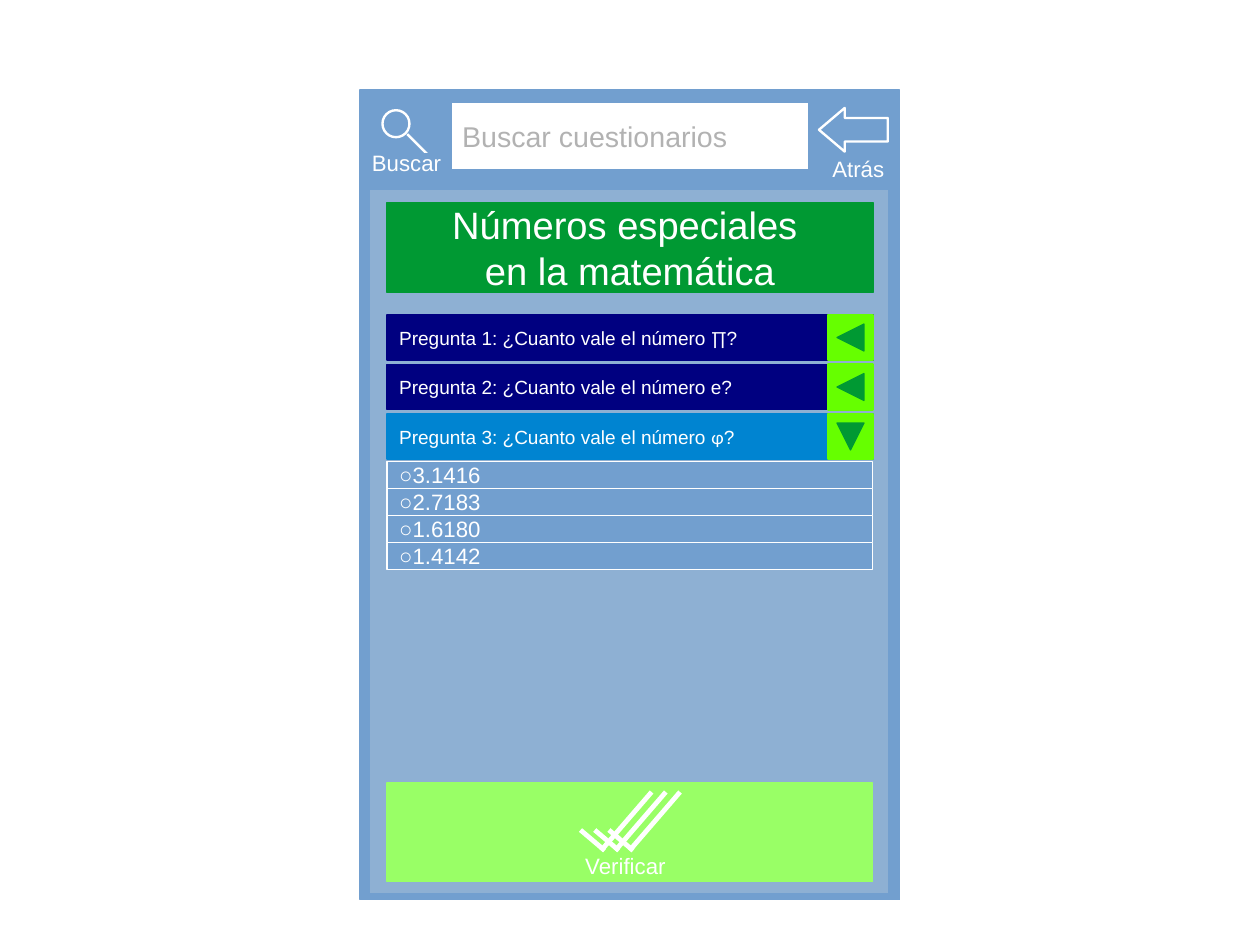
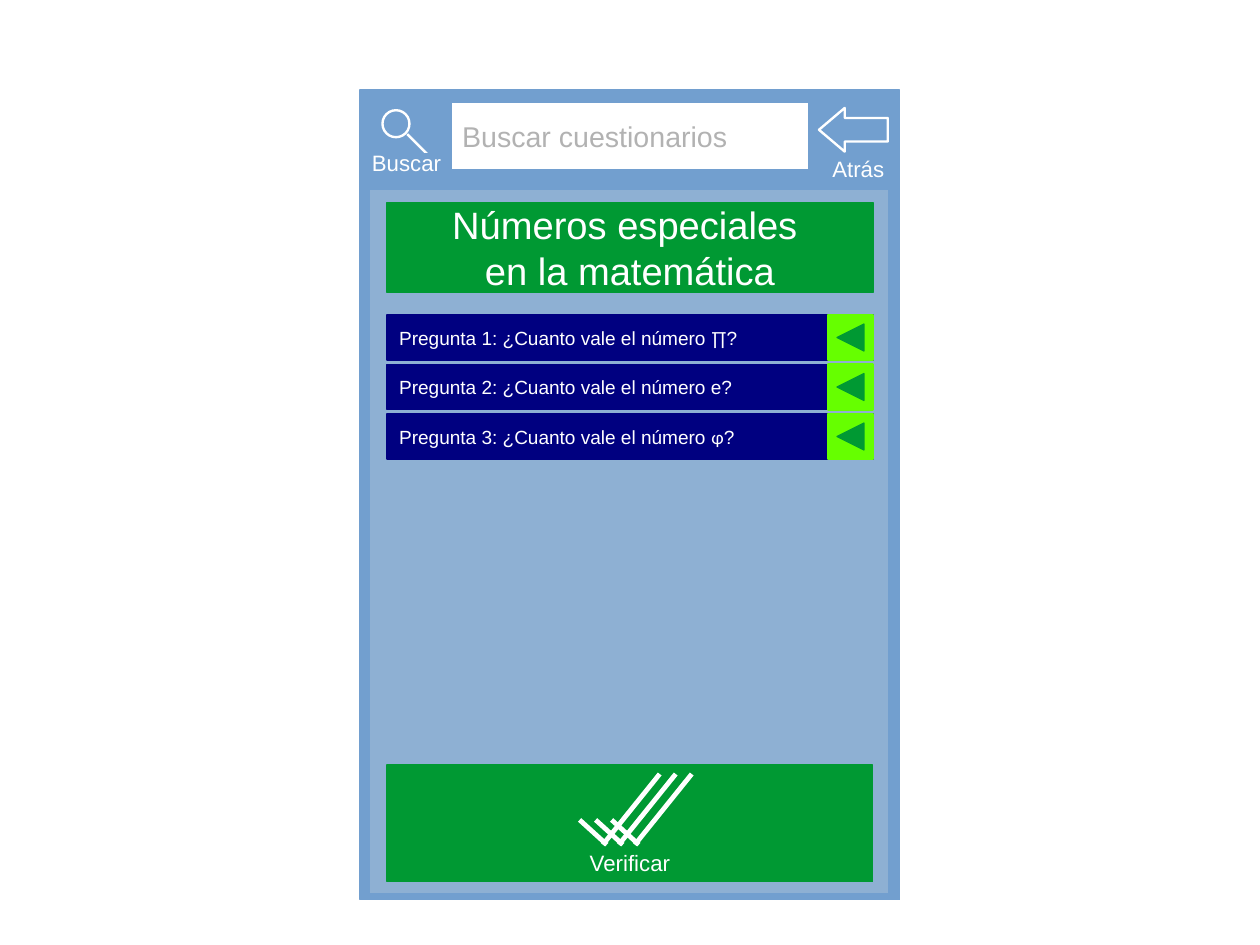
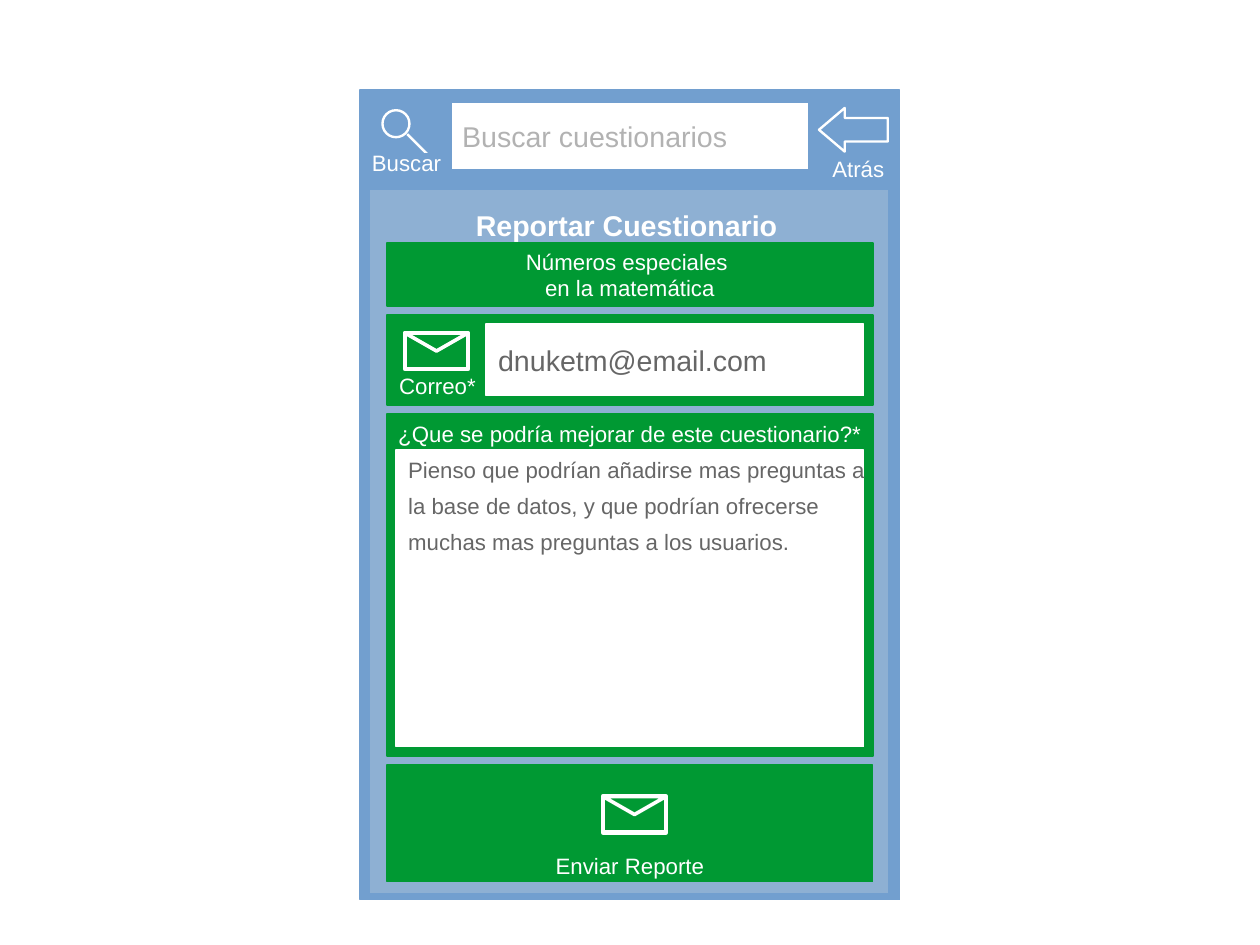
from dataclasses import dataclass

from lxml.etree import SubElement
from pptx import Presentation
from pptx.dml.color import RGBColor
from pptx.enum.shapes import MSO_CONNECTOR, MSO_SHAPE
from pptx.enum.text import MSO_ANCHOR, MSO_AUTO_SIZE, PP_ALIGN
from pptx.oxml.ns import qn
from pptx.util import Cm, Pt


@dataclass(frozen=True)
class Theme:
    frame: str = "729FCF"
    panel: str = "8EB0D3"
    green: str = "009933"
    pale_green: str = "99FF66"
    toggle: str = "66FF00"
    closed: str = "000080"
    opened: str = "0084D1"
    white: str = "FFFFFF"
    hint: str = "B2B2B2"
    entry: str = "666666"
    text_font: str = "Arial"
    symbol_font: str = "Calibri"
    heading: int = 24
    field: int = 18
    label: int = 14
    question: int = 12


THEME = Theme()

# The page is a grid of one-centimetre cells.
PAGE = (28, 21)
PHONE = (8, 2, 12, 18)
COLUMN_LEFT, COLUMN_WIDTH = 8.6, 10.8
LIST_TOP = 7
QUESTION_HEIGHT, QUESTION_PITCH = 1, 1.1
ANSWER_TOP, ANSWER_HEIGHT = 10.25, 0.6
BUTTON_BOTTOM = 19.6
INSET_X, INSET_Y = 0.27, 0.14

SUBJECT = "Números especiales \nen la matemática"
SYMBOLS = ("∏", "e", "φ")
ANSWERS = ("3.1416", "2.7183", "1.6180", "1.4142")
COMMENT = ("Pienso que podrían añadirse mas preguntas a\n"
           "la base de datos, y que podrían ofrecerse \n"
           "muchas mas preguntas a los usuarios.")


def rgb(color):
    return RGBColor.from_string(color)


def column(top, height):
    """Bounds of an element as wide as the content column."""
    return COLUMN_LEFT, top, COLUMN_WIDTH, height


def paint(shape, fill, line=None, width=0):
    shape.fill.solid()
    shape.fill.fore_color.rgb = rgb(fill)
    shape.line.color.rgb = rgb(line or fill)
    shape.line.width = Pt(width)


def add_block(slide, bounds, fill, line=None, width=0, preset=MSO_SHAPE.RECTANGLE):
    block = slide.shapes.add_shape(preset, *map(Cm, bounds))
    block.shadow.inherit = False
    paint(block, fill, line, width)
    return block


def format_text(frame, size, color, align, anchor=MSO_ANCHOR.MIDDLE, bold=False, gap=0):
    frame.word_wrap = False
    frame.auto_size = MSO_AUTO_SIZE.NONE
    frame.vertical_anchor = anchor
    frame.margin_left = frame.margin_right = Cm(INSET_X)
    frame.margin_top = frame.margin_bottom = Cm(INSET_Y)
    for index, paragraph in enumerate(frame.paragraphs):
        paragraph.alignment = align
        if gap and index:
            paragraph.space_before = Pt(gap)
        for run in paragraph.runs:
            run.font.name = THEME.text_font
            run.font.size = Pt(size)
            run.font.bold = bold
            run.font.color.rgb = rgb(color)


def add_text_block(slide, bounds, text, fill, line=None, width=0, size=THEME.label,
                   color=THEME.white, align=PP_ALIGN.CENTER, **style):
    block = add_block(slide, bounds, fill, line, width)
    block.text_frame.text = text
    format_text(block.text_frame, size, color, align, **style)


def add_stroke(slide, start, end, width):
    stroke = slide.shapes.add_connector(MSO_CONNECTOR.STRAIGHT, *map(Cm, start + end))
    stroke.line.color.rgb = rgb(THEME.white)
    stroke.line.width = Pt(width)
    SubElement(stroke._element.spPr, qn("a:effectLst"))


def set_title(slide, bounds, text, fill, size, width=0, bold=False):
    """Fill the title placeholder and bring it in front of the panel."""
    title = slide.shapes.title
    title.left, title.top, title.width, title.height = map(Cm, bounds)
    paint(title, fill, width=width)
    title.text_frame.text = text
    format_text(title.text_frame, size, THEME.white, PP_ALIGN.CENTER, bold=bold)
    slide.shapes._spTree.append(title._element)


def add_screen(prs):
    """New slide with the phone frame, the search bar and the back button."""
    slide = prs.slides.add_slide(prs.slide_layouts[5])
    add_block(slide, PHONE, THEME.frame)
    add_block(slide, (8.2, 4.2, 11.55, 15.65), THEME.panel, THEME.frame)
    add_block(slide, (8.5, 2.45, 0.6, 0.6), THEME.frame, THEME.white, 1.5, MSO_SHAPE.OVAL)
    add_stroke(slide, (9.05, 2.98), (9.5, 3.43), 1.5)
    add_text_block(slide, (8.2, 3.43, 1.67, 0.38), "Buscar", THEME.frame, width=1.5)
    add_text_block(slide, (18.2, 3.54, 1.75, 0.4), "Atrás", THEME.frame)
    arrow = add_block(slide, (18.2, 2.4, 1.53, 0.97), THEME.frame, THEME.white, 1.5,
                      MSO_SHAPE.LEFT_ARROW)
    arrow.adjustments[0], arrow.adjustments[1] = 0.54, 0.59
    add_text_block(slide, (10, 2.25, 8, 1.55), "Buscar cuestionarios", THEME.white,
                   THEME.frame, 2.3, THEME.field, THEME.hint, PP_ALIGN.LEFT)
    return slide


def add_question(slide, number, symbol, is_open):
    top = LIST_TOP + (number - 1) * QUESTION_PITCH
    bar = add_block(slide, column(top, QUESTION_HEIGHT),
                    THEME.opened if is_open else THEME.closed, width=1)
    sentence = bar.text_frame.paragraphs[0]
    sentence.text = f"Pregunta {number}: ¿Cuanto vale el número "
    for part in (symbol, "?"):
        sentence.add_run().text = part
    format_text(bar.text_frame, THEME.question, THEME.white, PP_ALIGN.LEFT)
    if not symbol.isascii():
        sentence.runs[1].font.name = THEME.symbol_font

    toggle_left = COLUMN_LEFT + COLUMN_WIDTH - QUESTION_HEIGHT
    add_block(slide, (toggle_left, top, QUESTION_HEIGHT, QUESTION_HEIGHT),
              THEME.toggle, width=1.5)
    pointer = add_block(slide, (toggle_left + 0.2, top + 0.2, 0.6, 0.6), THEME.green,
                        preset=MSO_SHAPE.ISOSCELES_TRIANGLE)
    pointer.rotation = 180 if is_open else 270


def add_answers(slide):
    for row, answer in enumerate(ANSWERS):
        add_text_block(slide, column(ANSWER_TOP + row * ANSWER_HEIGHT, ANSWER_HEIGHT),
                       f"○{answer}", THEME.frame, THEME.white, align=PP_ALIGN.LEFT)


def add_triple_tick(slide, left, top, width, height):
    """Three overlapping ticks; width and height are those of one tick."""
    for index in range(3):
        x = left + index * 0.2 * width
        bottom = top + height
        add_stroke(slide, (x, top + 0.65 * height), (x + 0.34 * width, bottom), 3)
        add_stroke(slide, (x + width, top), (x + 0.29 * width, bottom), 3)


def add_button(slide, top, fill, text, label):
    add_block(slide, column(top, BUTTON_BOTTOM - top), fill)
    add_text_block(slide, label, text, fill)


def add_envelope(slide, left, top):
    width, height = 1.4, 0.8
    add_block(slide, (left, top, width, height), THEME.green, THEME.white, 3)
    flap = add_block(slide, (left, top, width, height / 2), THEME.green, THEME.white, 2.3,
                     MSO_SHAPE.ISOSCELES_TRIANGLE)
    flap.rotation = 180


def add_quiz(prs, open_question=None):
    slide = add_screen(prs)
    set_title(slide, column(4.5, 2), SUBJECT, THEME.green, THEME.heading, width=1)
    for number, symbol in enumerate(SYMBOLS, start=1):
        add_question(slide, number, symbol, number == open_question)
    if open_question:
        add_answers(slide)
        add_button(slide, 17.4, THEME.pale_green, "Verificar", (12.4, 18.9, 3, 0.68))
        add_triple_tick(slide, 12.9, 17.6, 1.58, 1.3)
    else:
        add_button(slide, 17, THEME.green, "Verificar", (12.3, 18.77, 3.4, 0.81))
        add_triple_tick(slide, 12.88, 17.2, 1.78, 1.57)


def add_report(prs):
    slide = add_screen(prs)
    set_title(slide, (8.45, 4.4, 10.95, 1.2), "Reportar Cuestionario", THEME.panel,
              THEME.field, bold=True)
    add_text_block(slide, column(5.4, 1.4), SUBJECT, THEME.green, width=1)

    add_text_block(slide, column(7, 2), "Correo*", THEME.green, width=1,
                   align=PP_ALIGN.LEFT, anchor=MSO_ANCHOR.BOTTOM)
    add_envelope(slide, 9, 7.4)
    add_text_block(slide, (10.8, 7.2, 8.4, 1.6), "dnuketm@email.com", THEME.white,
                   size=THEME.field, color=THEME.entry, align=PP_ALIGN.LEFT)

    add_text_block(slide, column(9.2, 7.6), "¿Que se podría mejorar de este cuestionario?*",
                   THEME.green, width=1, anchor=MSO_ANCHOR.TOP)
    add_text_block(slide, (8.8, 10, 10.4, 6.6), COMMENT, THEME.white, color=THEME.entry,
                   align=PP_ALIGN.JUSTIFY, anchor=MSO_ANCHOR.TOP, gap=6)

    add_button(slide, 17, THEME.green, "Enviar Reporte", (12.5, 18.9, 3, 0.68))
    add_envelope(slide, 13.4, 17.7)


def main():
    prs = Presentation()
    prs.slide_width, prs.slide_height = map(Cm, PAGE)
    add_quiz(prs, open_question=3)
    add_quiz(prs)
    add_report(prs)
    prs.save("out.pptx")


if __name__ == "__main__":
    main()
